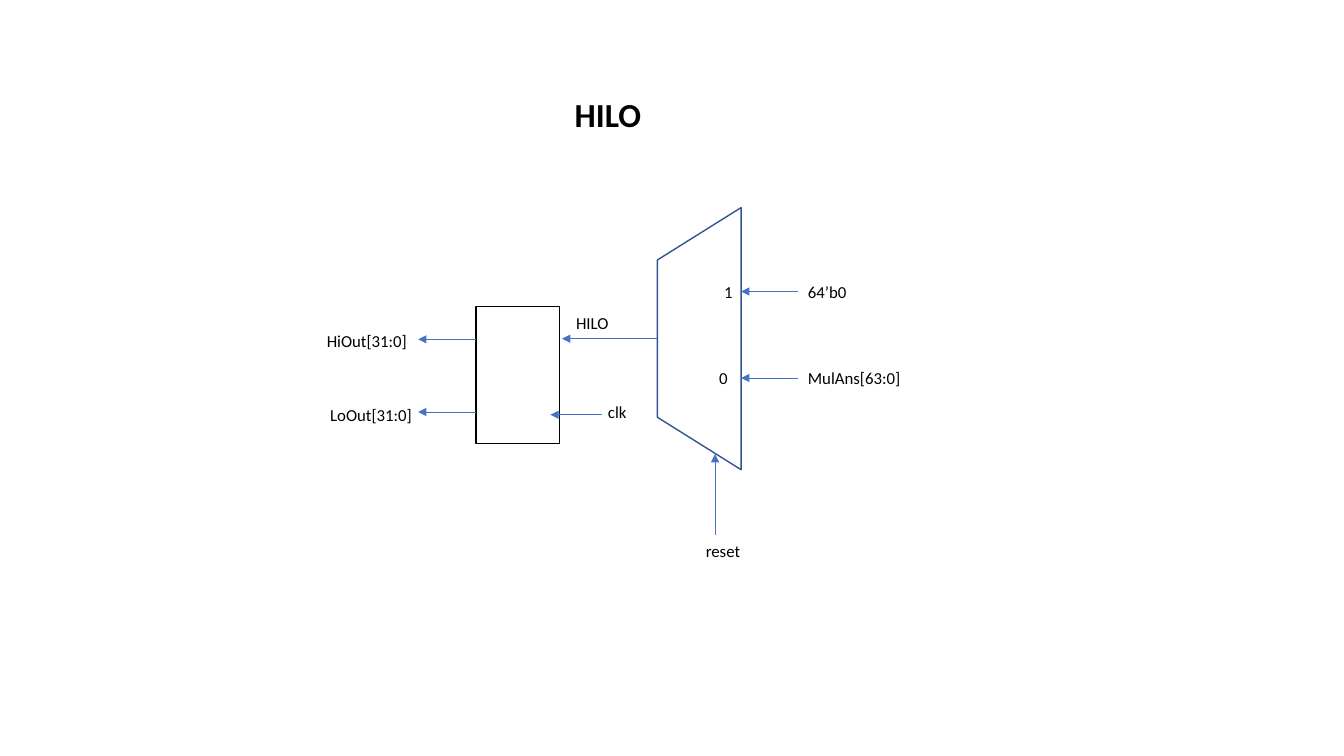
import pptx
import pptx.util
import pptx.dml.color
import pptx.enum.shapes
import pptx.enum.text
import pptx.oxml

Inches, Pt = pptx.util.Inches, pptx.util.Pt
Shape = pptx.enum.shapes.MSO_SHAPE
# The slide is a grid of one-inch columns and rows
WIDE, HIGH = 13.33, 7.5
ROW = 0.3  # height of a label
BLACK, WHITE, BLUE, NAVY = "000000", "FFFFFF", "4472C4", "325491"


def color(hue):
    return pptx.dml.color.RGBColor.from_string(hue)


def spot(box, x, y):
    """Turn shares of a box into columns and rows."""
    left, top, width, height = box
    return left + x * width, top + y * height


def write(frame, text, size=12, bold=False):
    frame.word_wrap = True
    frame.auto_size = pptx.enum.text.MSO_AUTO_SIZE.NONE
    frame.vertical_anchor = pptx.enum.text.MSO_ANCHOR.TOP
    para = frame.paragraphs[0]
    para.alignment = pptx.enum.text.PP_ALIGN.LEFT
    run = para.add_run()
    run.text = text
    run.font.name = "Calibri"
    run.font.size = Pt(size)
    run.font.bold = bold
    run.font.color.rgb = color(BLACK)


def label(slide, box, text, x, y, width=1.46):
    """Centre a label vertically on share y of the box."""
    left, mid = spot(box, x, y)
    area = [Inches(n) for n in (left, mid - ROW / 2, width, ROW)]
    write(slide.shapes.add_textbox(*area).text_frame, text)


def wire(slide, box, start, end):
    ends = [Inches(n) for n in spot(box, *start) + spot(box, *end)]
    kind = pptx.enum.shapes.MSO_CONNECTOR.STRAIGHT
    link = slide.shapes.add_connector(kind, *ends)
    link.line.color.rgb = color(BLUE)
    link.line.width = Pt(0.5)
    tip = pptx.oxml.parse_xml(
        '<a:tailEnd xmlns:a="http://schemas.openxmlformats.org/drawingml/2006/main"'
        ' type="triangle"/>')
    link.line._get_or_add_ln().append(tip)
    props = link._element.spPr
    props.append(props.makeelement(pptx.oxml.ns.qn("a:effectLst"), {}))


def block(slide, kind, box, edge, turn=0):
    left, top, width, height = box
    if turn:  # the frame swaps its sides around the same centre
        left, top = left + (width - height) / 2, top + (height - width) / 2
        width, height = height, width
    area = [Inches(n) for n in (left, top, width, height)]
    part = slide.shapes.add_shape(kind, *area)
    part.rotation = turn
    part.shadow.inherit = False
    part.fill.solid()
    part.fill.fore_color.rgb = color(WHITE)
    part.line.color.rgb = color(edge)
    part.line.width = Pt(1)


def head(slide, box, text):
    title = slide.shapes.title
    title.left, title.top, title.width, title.height = map(Inches, box)
    write(title.text_frame, text, size=24, bold=True)


def mux(slide, box):
    block(slide, Shape.FLOWCHART_MANUAL_OPERATION, box, NAVY, turn=90)
    # Data inputs: source, port, port's place, row
    for name, port, x, y in (("64’b0", "1", 0.68, 0.32),
                             ("MulAns[63:0]", "0", 0.62, 0.65)):
        wire(slide, box, (1.68, y), (1, y))
        label(slide, box, name, 1.68, y)
        label(slide, box, port, x, y, width=0.33)
    # Select input
    wire(slide, box, (0.69, 1.25), (0.69, 0.94))
    label(slide, box, "reset", 0.46, 1.31)
    # Output
    wire(slide, box, (0, 0.5), (-1.14, 0.5))
    label(slide, box, "HILO", -1.09, 0.44, width=0.57)


def store(slide, box):
    block(slide, Shape.RECTANGLE, box, BLACK)
    # Outputs: name, wire row, label place
    for name, row, x, y in (("HiOut[31:0]", 0.24, -1.9, 0.25),
                            ("LoOut[31:0]", 0.77, -1.86, 0.79)):
        wire(slide, box, (0, row), (-0.69, row))
        label(slide, box, name, x, y, width=1.24)
    # Clock
    wire(slide, box, (1.51, 0.79), (0.89, 0.79))
    label(slide, box, "clk", 1.46, 0.77, width=0.5)


def main():
    deck = pptx.Presentation()
    deck.slide_width, deck.slide_height = Inches(WIDE), Inches(HIGH)
    slide = deck.slides.add_slide(deck.slide_layouts[5])
    head(slide, (5.6, 0.88, 1.74, 0.5), "HILO")
    mux(slide, (6.52, 2.06, 0.83, 2.6))
    store(slide, (4.72, 3.04, 0.83, 1.36))
    deck.save("out.pptx")


if __name__ == "__main__":
    main()
